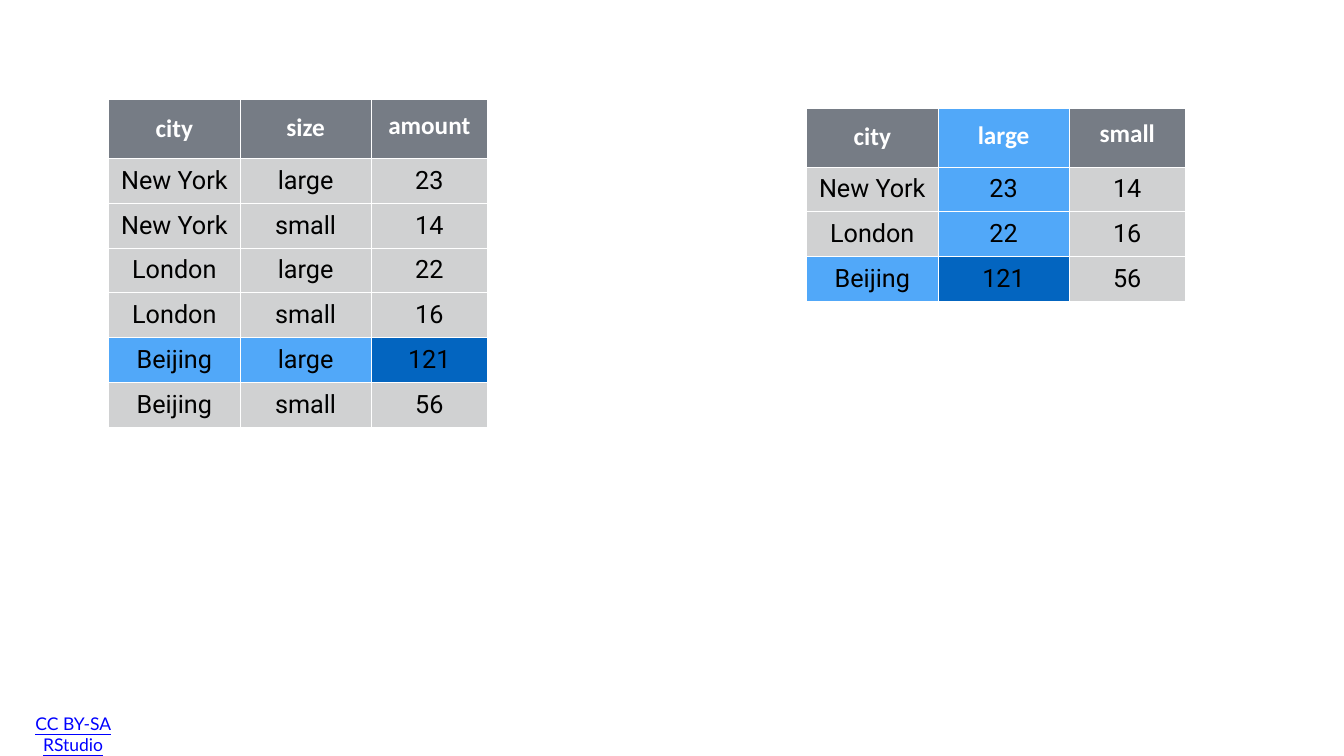
from lxml import etree
from pptx import Presentation
from pptx.dml.color import RGBColor
from pptx.enum.text import MSO_ANCHOR, MSO_AUTO_SIZE, PP_ALIGN
from pptx.oxml.ns import qn
from pptx.util import Pt

PX = 9144
CENTER = PP_ALIGN.CENTER
MIDDLE = MSO_ANCHOR.MIDDLE
FIT_SHAPE = MSO_AUTO_SIZE.SHAPE_TO_FIT_TEXT
MARGINS = ("margin_left", "margin_right", "margin_top", "margin_bottom")
BORDERS = ("lnL", "lnR", "lnT", "lnB")

WHITE, SLATE, GRAY = "FFFFFF", "767C85", "D0D1D2"
SKY, BLUE = "51A8F9", "0365C0"
HEADER_FONT = {"name": "Calibri", "size": Pt(36), "bold": True}
BODY_FONT = {"name": "Roboto", "size": Pt(36), "bold": False}
LICENSE_FONT = {"name": "Lato", "size": Pt(25), "underline": True}
HEADER_SPACING = (1.0, 0.8, 0.6)
COLUMN_WIDTHS = (262, 259, 232)
ROW_HEIGHT = 89


def color(hex_string):
    return RGBColor.from_string(hex_string)


def write(paragraph, text, font_format, font_color):
    paragraph.alignment = CENTER
    run = paragraph.add_run()
    run.text = text
    for name, value in font_format.items():
        setattr(run.font, name, value)
    run.font.color.rgb = color(font_color)


presentation = Presentation()
presentation.slide_width = 2667 * PX
presentation.slide_height = 1500 * PX
slide = presentation.slides.add_slide(presentation.slide_layouts[6])

license_box = slide.shapes.add_textbox(12 * PX, 1426 * PX, 266 * PX, 60 * PX)
license_frame = license_box.text_frame
license_frame.word_wrap = False
license_frame.auto_size = FIT_SHAPE
license_frame.vertical_anchor = MIDDLE
for margin in MARGINS:
    setattr(license_frame, margin, 8 * PX)
write(license_frame.paragraphs[0], "CC BY-SA RStudio", LICENSE_FONT, "0000FF")

long_rows = [
    ("city", "size", "amount"),
    ("New York", "large", "23"),
    ("New York", "small", "14"),
    ("London", "large", "22"),
    ("London", "small", "16"),
    ("Beijing", "large", "121"),
    ("Beijing", "small", "56"),
]
wide_rows = [
    ("city", "large", "small"),
    ("New York", "23", "14"),
    ("London", "22", "16"),
    ("Beijing", "121", "56"),
]
long_highlights = {(5, 0): SKY, (5, 1): SKY, (5, 2): BLUE}
wide_highlights = {(0, 1): SKY, (1, 1): SKY, (2, 1): SKY, (3, 0): SKY, (3, 1): BLUE}
tables = [
    (215, 198, 116, long_rows, long_highlights),
    (1600, 214, 117, wide_rows, wide_highlights),
]

for left, top, header_height, rows, highlights in tables:
    height = header_height + ROW_HEIGHT * (len(rows) - 1)
    table = slide.shapes.add_table(
        len(rows), len(COLUMN_WIDTHS),
        left * PX, top * PX, sum(COLUMN_WIDTHS) * PX, height * PX,
    ).table
    table.first_row = False
    table.horz_banding = False
    for column, width in zip(table.columns, COLUMN_WIDTHS):
        column.width = width * PX
    for row_index, values in enumerate(rows):
        is_header = row_index == 0
        table.rows[row_index].height = (header_height if is_header else ROW_HEIGHT) * PX
        for column_index, value in enumerate(values):
            cell = table.cell(row_index, column_index)
            cell.vertical_anchor = MIDDLE
            for margin in MARGINS:
                setattr(cell, margin, 6 * PX)
            base_fill = SLATE if is_header else GRAY
            cell.fill.solid()
            cell.fill.fore_color.rgb = color(
                highlights.get((row_index, column_index), base_fill)
            )
            paragraph = cell.text_frame.paragraphs[0]
            if is_header:
                paragraph.line_spacing = HEADER_SPACING[column_index]
                write(paragraph, value, HEADER_FONT, WHITE)
            else:
                write(paragraph, value, BODY_FONT, "000000")
            properties = cell._tc.get_or_add_tcPr()
            for position, border in enumerate(BORDERS):
                line = etree.Element(qn(f"a:{border}"), w=str(Pt(1)))
                fill = etree.SubElement(line, qn("a:solidFill"))
                etree.SubElement(fill, qn("a:srgbClr"), val=WHITE)
                properties.insert(position, line)

presentation.save("out.pptx")
